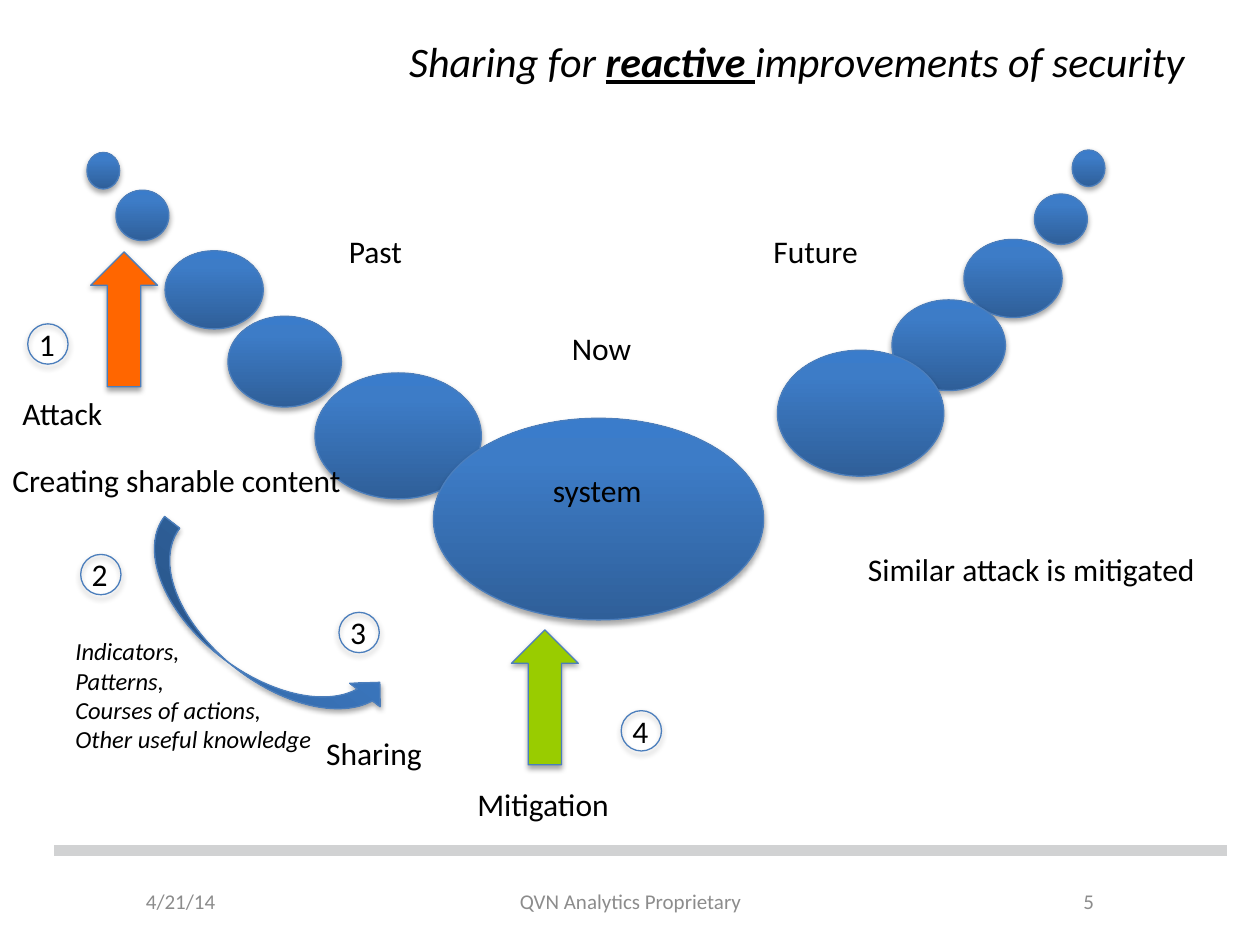
from lxml import etree
from pptx import Presentation
from pptx.dml.color import RGBColor
from pptx.enum.shapes import MSO_CONNECTOR, MSO_SHAPE
from pptx.enum.text import MSO_ANCHOR, PP_ALIGN
from pptx.oxml import parse_xml
from pptx.oxml.ns import nsdecls, qn
from pptx.util import Pt

PX = 9144  # 100 px to the inch
FONT = "Calibri"
BLACK = RGBColor(0x00, 0x00, 0x00)
GREY = RGBColor(0x8C, 0x8C, 0x8C)
RULE = RGBColor(0xD1, 0xD2, 0xD3)
OUTLINE = RGBColor(0x4B, 0x7E, 0xBC)
ORANGE = RGBColor(0xFF, 0x66, 0x00)
GREEN = RGBColor(0x99, 0xCC, 0x00)
GRADIENT = [(0, "2F5F99"), (80, "3D7CC7"), (100, "3A7CCB")]
OVAL = MSO_SHAPE.OVAL
UP_ARROW = MSO_SHAPE.UP_ARROW
CURVED_ARROW = MSO_SHAPE.CURVED_UP_ARROW
LEFT, CENTER, RIGHT = PP_ALIGN.LEFT, PP_ALIGN.CENTER, PP_ALIGN.RIGHT
TOP, MIDDLE = MSO_ANCHOR.TOP, MSO_ANCHOR.MIDDLE

deck = Presentation()
deck.slide_width, deck.slide_height = 1000 * PX, 750 * PX
page = deck.slides.add_slide(deck.slide_layouts[6])


def add_figure(kind, left, top, width, height, fill=None):
    """Outlined shape with a soft shadow; fill is a colour, a stop list or None."""
    figure = page.shapes.add_shape(kind, left * PX, top * PX, width * PX, height * PX)
    figure.line.color.rgb = OUTLINE
    figure.line.width = Pt(0.75)
    if fill is None:
        figure.fill.background()
    elif isinstance(fill, RGBColor):
        figure.fill.solid()
        figure.fill.fore_color.rgb = fill
    else:
        figure.fill.gradient()
        gradient = figure.fill._xPr.find(qn("a:gradFill"))
        stops = "".join(
            f'<a:gs pos="{place * 1000}"><a:srgbClr val="{colour}"/></a:gs>'
            for place, colour in fill)
        gradient.getparent().replace(gradient, parse_xml(
            f'<a:gradFill {nsdecls("a")} rotWithShape="1"><a:gsLst>{stops}</a:gsLst>'
            '<a:lin ang="16200000" scaled="0"/></a:gradFill>'))
    figure.shadow.inherit = False
    figure._element.spPr.find(qn("a:effectLst")).append(parse_xml(
        f'<a:outerShdw {nsdecls("a")} blurRad="40000" dist="23000" dir="5400000" '
        'rotWithShape="0"><a:srgbClr val="000000"><a:alpha val="35000"/>'
        '</a:srgbClr></a:outerShdw>'))
    return figure


def add_text(left, top, width, height, lines, size=18, colour=BLACK, align=LEFT,
             anchor=TOP, italic=False, wrap=False):
    """Text box; each line is a list of (wording, emphasised) spans."""
    box = page.shapes.add_textbox(left * PX, top * PX, width * PX, height * PX)
    frame = box.text_frame
    frame.word_wrap = wrap
    frame.vertical_anchor = anchor
    for index, spans in enumerate(lines):
        para = frame.add_paragraph() if index else frame.paragraphs[0]
        para.alignment = align
        for wording, emphasised in spans:
            span = para.add_run()
            span.text = wording
            span.font.name, span.font.size = FONT, Pt(size)
            span.font.color.rgb = colour
            span.font.italic = italic
            span.font.bold = span.font.underline = emphasised


# Footer and rule
for left, width, wording, align in [
    (106, 177, "4/21/14", LEFT),
    (717, 161, "5", RIGHT),
    (342, 317, "QVN Analytics Proprietary", CENTER),
]:
    add_text(left, 695, width, 40, [[(wording, False)]], 12, GREY, align, MIDDLE,
             wrap=True)
rule = page.shapes.add_connector(
    MSO_CONNECTOR.STRAIGHT, 43 * PX, 675 * PX, 974 * PX, 675 * PX)
rule.line.color.rgb = RULE
rule.line.width = Pt(6)
etree.SubElement(rule._element.spPr, qn("a:effectLst"))

# Title
add_text(50, 21, 900, 55, [[("Sharing for ", False), ("reactive ", True),
                            ("improvements of security", False)]],
         24, align=RIGHT, anchor=MIDDLE, italic=True, wrap=True)

# Timeline: past and future states grow towards the system of now
SIZES = [(26, 29), (42, 40), (78, 62), (90, 72), (132, 100), (262, 160)]
PAST = [(69, 121), (92, 151), (131, 199), (181, 251), (250, 296), (344, 332)]
FUTURE = [(851, 119), (821, 154), (765, 190), (708, 238), (617, 278)]
for places in (PAST, FUTURE):
    for (left, top), (width, height) in zip(places, SIZES):
        add_figure(OVAL, left, top, width, height, GRADIENT)

# Arrows for attack, mitigation and sharing
add_figure(UP_ARROW, 72, 200, 53, 107, ORANGE)
add_figure(UP_ARROW, 406, 500, 53, 107, GREEN)
add_figure(CURVED_ARROW, 88, 474, 231, 61, GRADIENT).rotation = 37.6

# Labels
for left, top, width, wording in [
    (444, 256, 68, "Now"),
    (267, 179, 63, "Past"),
    (604, 179, 88, "Future"),
    (8, 308, 85, "Attack"),
    (429, 369, 91, "system"),
    (369, 618, 126, "Mitigation"),
    (0, 361, 284, "Creating sharable content"),
    (249, 578, 97, "Sharing"),
    (679, 432, 283, "Similar attack is mitigated"),
]:
    add_text(left, top, width, 40, [[(wording, False)]])

# Shared content
CONTENT = ["Indicators,", "Patterns,", "Courses of actions,", "Other useful knowledge"]
add_text(50, 500, 214, 104, [[(wording, False)] for wording in CONTENT], 14,
         italic=True)

# Numbered steps
STEPS = [(22, 257), (64, 440), (269, 486), (493, 564)]
for number, (left, top) in enumerate(STEPS, 1):
    add_figure(OVAL, left, top, 32, 32)
    add_text(left - 1, top - 4, 33, 40, [[(str(number), False)]])

deck.save("out.pptx")
